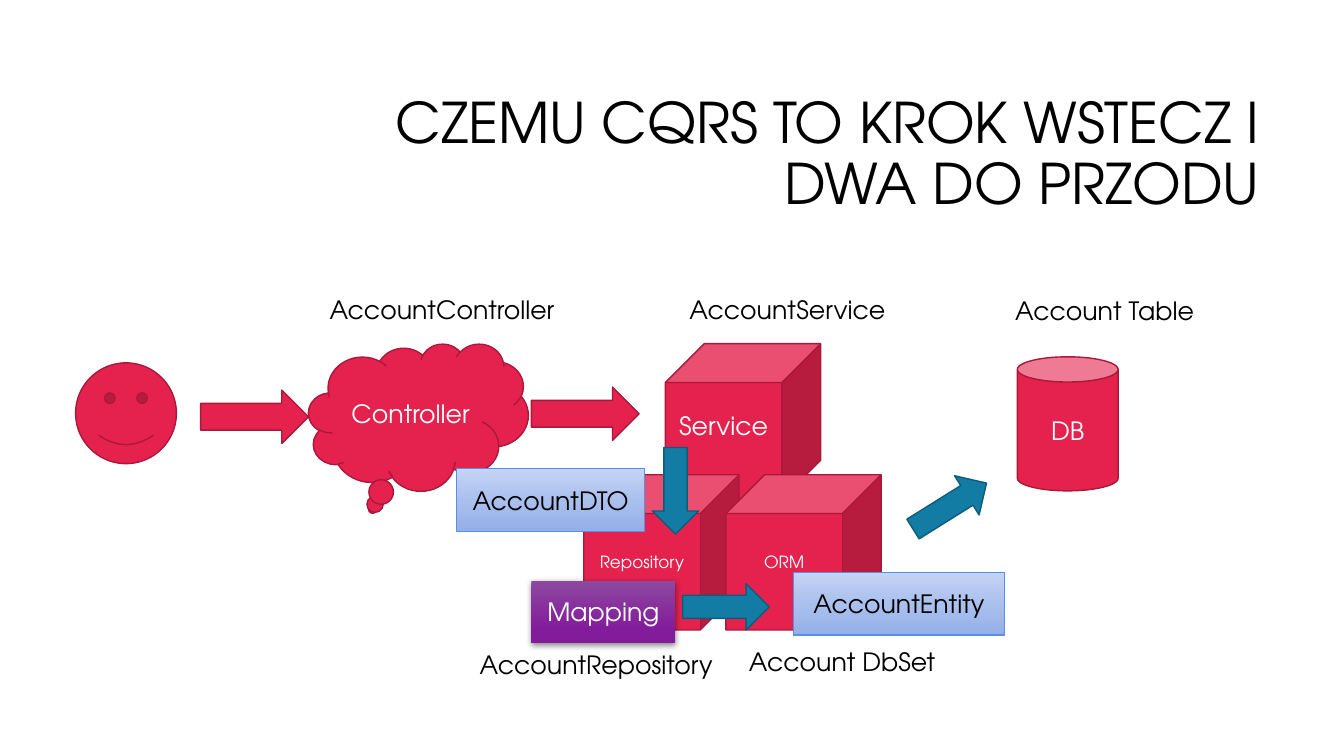
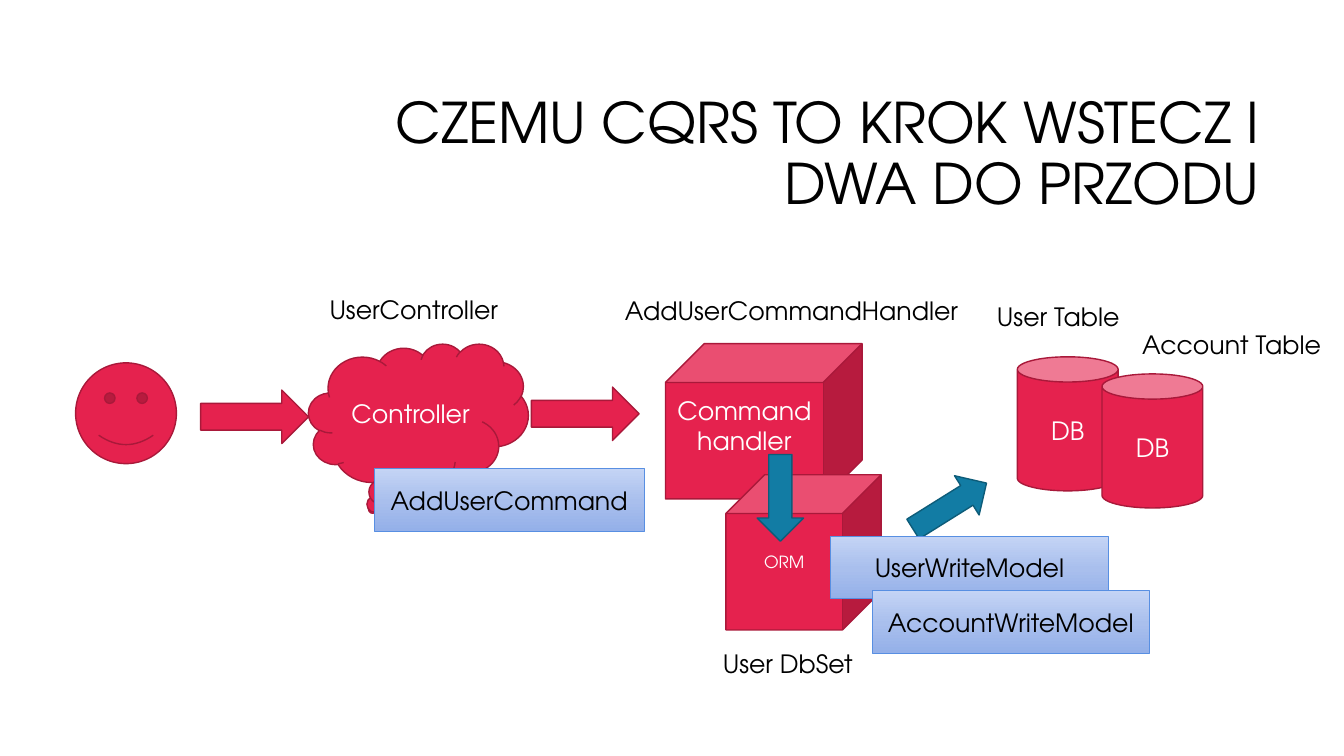
from copy import deepcopy

from lxml.etree import SubElement
from pptx import Presentation
from pptx.dml.color import RGBColor
from pptx.enum.shapes import MSO_SHAPE as Preset
from pptx.enum.text import MSO_ANCHOR as Anchor, MSO_AUTO_SIZE as AutoSize, PP_ALIGN as Align
from pptx.oxml.ns import qn
from pptx.util import Inches, Pt

FONT = "TeX Gyre Adventor"
TITLE = "CZEMU CQRS TO KROK WSTECZ I DWA DO PRZODU"
COLOURS = {
    "background": "FFFFFF", "black": "000000", "white": "FFFFFF",
    "red": "E5224E", "red line": "A9193A",
    "teal": "127CA4", "teal line": "0D5C79",
    "model line": "588FE2",
}
MODEL_STOPS = [(0, "C4D4F5"), (0.52, "A9BFED"), (1, "94B0E9")]
MAPPING_STOPS = [(0, "8D48A0"), (0.78, "831C9A")]
CUBE_SIDE = 1.54
MODEL_HEIGHT = 0.62


def colour(name):
    return RGBColor.from_string(COLOURS[name])


# Shared building blocks
def write(frame, text, size, colour_name, align):
    paragraph = frame.paragraphs[0]
    paragraph.alignment = align
    run = paragraph.add_run()
    run.text = text
    run.font.name = FONT
    run.font.size = Pt(size)
    run.font.color.rgb = colour(colour_name)
    return paragraph


def add_preset(slide, preset, box, text="", size=18, text_colour="white"):
    shape = slide.shapes.add_shape(preset, *[Inches(length) for length in box])
    shape.shadow.inherit = False
    if text:
        frame = shape.text_frame
        frame.word_wrap = True
        frame.vertical_anchor = Anchor.MIDDLE
        write(frame, text, size, text_colour, Align.CENTER)
    return shape


def add_solid(slide, preset, box, text="", size=18, fill="red"):
    shape = add_preset(slide, preset, box, text, size)
    shape.fill.solid()
    shape.fill.fore_color.rgb = colour(fill)
    shape.line.color.rgb = colour(fill + " line")
    shape.line.width = Pt(1)
    return shape


def fill_gradient(shape, stops):
    shape.fill.gradient()
    shape.fill.gradient_angle = 270
    stop_list = shape._element.spPr.find(qn("a:gradFill")).find(qn("a:gsLst"))
    while len(stop_list) < len(stops):
        stop_list.append(deepcopy(stop_list[-1]))
    for stop, (position, value) in zip(shape.fill.gradient_stops, stops):
        stop.position = position
        stop.color.rgb = RGBColor.from_string(value)


def add_label(slide, left, top, width, text):
    box = slide.shapes.add_textbox(Inches(left), Inches(top), Inches(width), Inches(0.4))
    box.text_frame.word_wrap = False
    box.text_frame.auto_size = AutoSize.SHAPE_TO_FIT_TEXT
    write(box.text_frame, text, 18, "black", Align.LEFT)


def add_cube(slide, left, top, text, size=12, width=CUBE_SIDE):
    cube = add_solid(slide, Preset.CUBE, (left, top, width, CUBE_SIDE), text, size)
    # One line of room below lifts the text
    cube.text_frame.margin_bottom = Inches(0.05) + Pt(size * 1.2)


def add_database(slide, left, top):
    add_solid(slide, Preset.CAN, (left, top, 1, 1.33), "DB")


def add_flow_arrow(slide, left, top, rotation=0):
    arrow = add_solid(slide, Preset.DOWN_ARROW, (left, top, 0.46, 0.86), fill="teal")
    arrow.rotation = rotation


def add_model(slide, left, top, width, text):
    model = add_preset(slide, Preset.RECTANGLE, (left, top, width, MODEL_HEIGHT),
                       text, text_colour="black")
    fill_gradient(model, MODEL_STOPS)
    model.line.color.rgb = colour("model line")
    model.line.width = Pt(0.75)


def add_mapping(slide, left, top):
    mapping = add_preset(slide, Preset.RECTANGLE, (left, top, 1.43, MODEL_HEIGHT), "Mapping")
    fill_gradient(mapping, MAPPING_STOPS)
    mapping.line.fill.background()
    effects = mapping._element.spPr.find(qn("a:effectLst"))
    shadow = SubElement(effects, qn("a:outerShdw"), blurRad=str(Pt(4.5)), dist=str(Pt(1.5)),
                        dir="5400000", algn="ctr", rotWithShape="0")
    shadow_colour = SubElement(shadow, qn("a:srgbClr"), val=COLOURS["black"])
    SubElement(shadow_colour, qn("a:alpha"), val="48000")


# Regions
def add_titled_slide(presentation):
    slide = presentation.slides.add_slide(presentation.slide_layouts[5])
    slide.background.fill.solid()
    slide.background.fill.fore_color.rgb = colour("background")
    title = slide.shapes.title
    title.left, title.top = Inches(3.17), Inches(0.84)
    title.width, title.height = Inches(9.42), Inches(1.41)
    frame = title.text_frame
    frame.word_wrap = True
    frame.auto_size = AutoSize.NONE
    frame.vertical_anchor = Anchor.MIDDLE
    write(frame, TITLE, 40, "black", Align.RIGHT).line_spacing = 0.9
    return slide


def add_request(slide, left, top, controller, label_width):
    """User, controller cloud and the arrows that lead on from each."""
    add_solid(slide, Preset.CLOUD_CALLOUT, (left + 2.31, top + 0.54, 2.18, 1.46), "Controller")
    add_solid(slide, Preset.SMILEY_FACE, (left, top + 0.73, 1, 1))
    for arrow_left, arrow_top in ((1.24, 1), (4.52, 0.97)):
        add_solid(slide, Preset.RIGHT_ARROW, (left + arrow_left, top + arrow_top, 1.07, 0.53))
    add_label(slide, left + 2.42, top, label_width, controller)


def add_service_layers(slide, left, top):
    """Service above repository and ORM, with the data passed between them."""
    add_cube(slide, left + 0.81, top + 0.54, "Service", 18)
    for cube_left, text in ((0, "Repository"), (1.41, "ORM")):
        add_cube(slide, left + cube_left, top + 1.84, text)
    add_label(slide, left + 0.95, top, 2.16, "AccountService")
    add_label(slide, left - 1.13, top + 3.52, 2.54, "AccountRepository")
    add_label(slide, left + 1.54, top + 3.49, 2.08, "Account DbSet")
    for arrow_left, arrow_top, rotation in ((0.68, 1.57, 0), (1.18, 2.72, 270), (3.4, 1.72, 238)):
        add_flow_arrow(slide, left + arrow_left, top + arrow_top, rotation)
    add_model(slide, left - 1.26, top + 1.78, 1.86, "AccountDTO")
    add_model(slide, left + 2.08, top + 2.81, 2.09, "AccountEntity")
    add_mapping(slide, left - 0.52, top + 2.89)


def add_command_layers(slide, left, top):
    """Command handler above the ORM, with the command and write models."""
    add_cube(slide, left, top + 0.54, "Command handler", 18, 1.95)
    add_cube(slide, left + 0.6, top + 1.84, "ORM")
    add_label(slide, left - 0.5, top + 0.01, 3.55, "AddUserCommandHandler")
    add_label(slide, left + 0.47, top + 3.51, 1.51, "User DbSet")
    add_flow_arrow(slide, left + 0.91, top + 1.64)
    add_flow_arrow(slide, left + 2.59, top + 1.72, 238)
    add_model(slide, left - 2.89, top + 1.78, 2.68, "AddUserCommand")
    add_model(slide, left + 1.64, top + 2.45, 2.75, "UserWriteModel")
    add_model(slide, left + 2.05, top + 2.99, 2.75, "AccountWriteModel")


def add_storage(slide, left, top, tables):
    """Databases stepping right and down; each table label has its own offset."""
    for index, (text, label_left, label_top, width) in enumerate(tables):
        add_database(slide, left + 0.84 * index, top + 0.17 * index)
        add_label(slide, left + label_left, top + label_top, width, text)


def main():
    presentation = Presentation()
    presentation.slide_width = Inches(13.33)
    presentation.slide_height = Inches(7.5)

    # Layered service
    slide = add_titled_slide(presentation)
    add_request(slide, 0.75, 2.87, "AccountController", 2.47)
    add_storage(slide, 10.09, 3.54, [("Account Table", -0.12, -0.66, 2.01)])
    add_service_layers(slide, 5.79, 2.87)

    # Command handler
    slide = add_titled_slide(presentation)
    add_request(slide, 0.75, 2.87, "UserController", 1.9)
    add_command_layers(slide, 6.6, 2.87)
    add_storage(slide, 10.09, 3.54, [("User Table", -0.3, -0.6, 1.44),
                                     ("Account Table", 1.14, -0.32, 2.01)])

    presentation.save("out.pptx")


if __name__ == "__main__":
    main()
